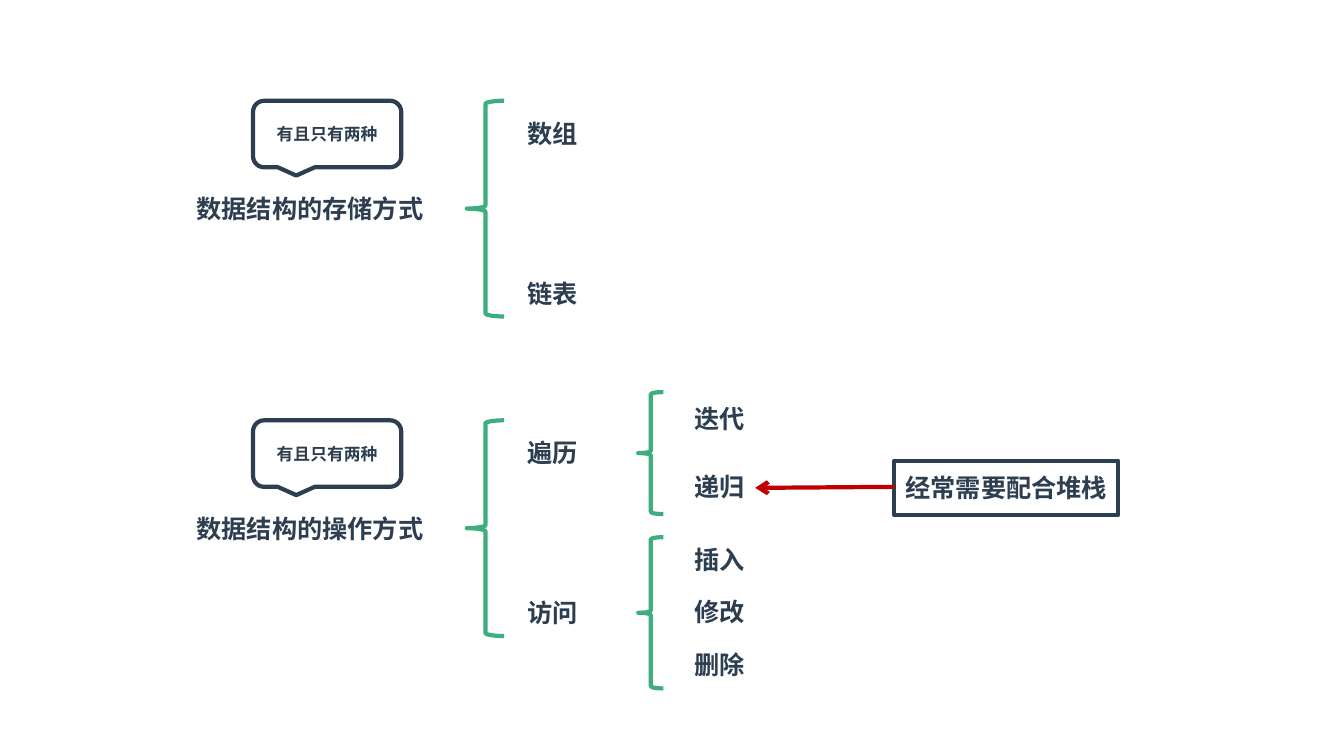
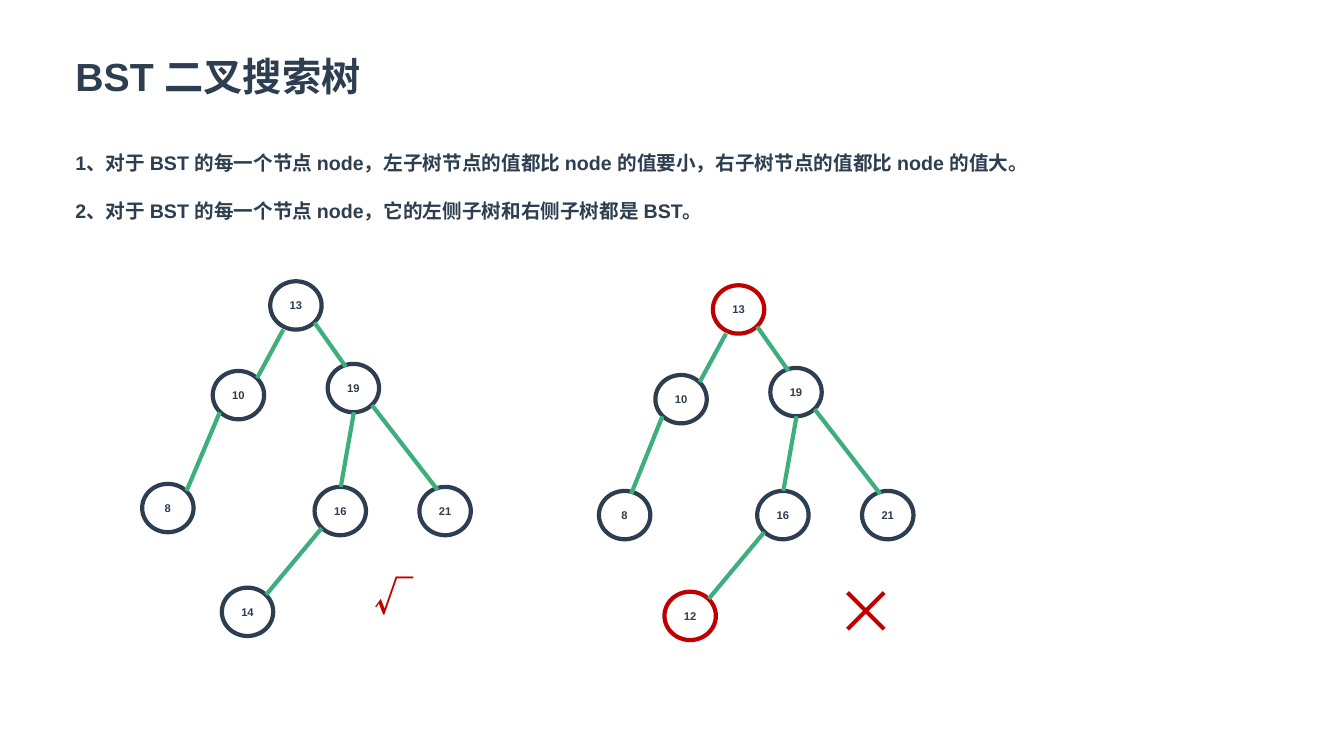
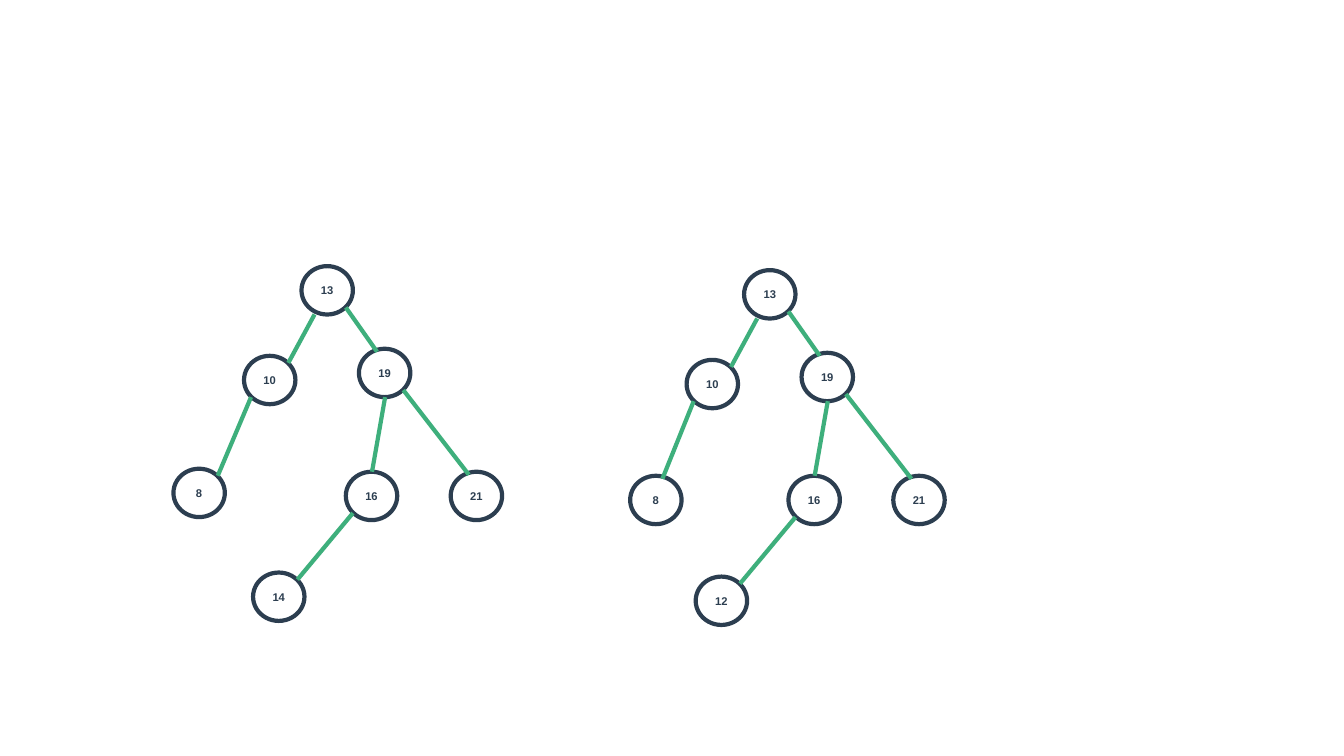
from lxml import etree
from pptx import Presentation
from pptx.dml.color import RGBColor
from pptx.enum.shapes import MSO_CONNECTOR, MSO_SHAPE
from pptx.enum.text import MSO_ANCHOR, MSO_AUTO_SIZE, PP_ALIGN
from pptx.oxml.ns import qn
from pptx.util import Inches, Pt

STRAIGHT = MSO_CONNECTOR.STRAIGHT
BRACE = MSO_SHAPE.LEFT_BRACE
CALLOUT = MSO_SHAPE.ROUNDED_RECTANGULAR_CALLOUT
ELLIPSE = MSO_SHAPE.OVAL
RECTANGLE = MSO_SHAPE.RECTANGLE
MIDDLE = MSO_ANCHOR.MIDDLE
CENTER = PP_ALIGN.CENTER
GROW = MSO_AUTO_SIZE.SHAPE_TO_FIT_TEXT

# Shared style
NAVY = RGBColor(0x2C, 0x3E, 0x50)
GREEN = RGBColor(0x3E, 0xAF, 0x7C)
RED = RGBColor(0xC0, 0x00, 0x00)
LATIN_FONT = "Arial"
CJK_FONT = "Noto Sans CJK SC"
LINE_WIDTH = Pt(3)

# Tree geometry: node corners relative to the root corner
NODE_WIDTH, NODE_HEIGHT = 0.51, 0.48
NODE_OFFSETS = {
    "root": (0, 0),
    "left": (-0.57, 0.89),
    "right": (0.57, 0.82),
    "left leaf": (-1.27, 2.01),
    "bottom leaf": (-0.48, 3.04),
    "middle": (0.44, 2.04),
    "right leaf": (1.48, 2.04),
}
NODE_VALUES = {
    "root": "13", "left": "10", "right": "19", "left leaf": "8",
    "middle": "16", "right leaf": "21",
}

# Points on a node's rim where edges start and end
TOP, BOTTOM = (0.26, 0), (0.26, 0.48)
LOWER_LEFT, LOWER_RIGHT = (0.07, 0.41), (0.44, 0.41)
UPPER_RIGHT = (0.44, 0.07)
UNDERSIDE, CROWN, CROWN_RIGHT = (0.13, 0.48), (0.18, 0.03), (0.32, 0.03)
EDGES = [
    ("root", UNDERSIDE, "left", UPPER_RIGHT),
    ("left", LOWER_LEFT, "left leaf", UPPER_RIGHT),
    ("root", LOWER_RIGHT, "right", CROWN),
    ("right", BOTTOM, "middle", TOP),
    ("right", LOWER_RIGHT, "right leaf", CROWN),
    ("middle", LOWER_LEFT, "bottom leaf", UPPER_RIGHT),
]


def write(frame, lines, size, color=NAVY, font=LATIN_FONT, bold=True,
          align=None, gap=0):
    """Fill a text frame, one paragraph for each line."""
    font_format = {"name": font, "size": Pt(size), "bold": bold}
    for index, line in enumerate(lines):
        paragraph = frame.add_paragraph() if index else frame.paragraphs[0]
        paragraph.alignment = align
        if index and gap:
            paragraph.space_before = Pt(gap)
        run = paragraph.add_run()
        run.text = line
        for attribute, value in font_format.items():
            setattr(run.font, attribute, value)
        run.font.color.rgb = color
        east_asian = etree.SubElement(run.font._element, qn("a:ea"))
        east_asian.set("typeface", CJK_FONT)


def add_label(slide, box, *lines, size=18, wrap=False, **style):
    label = slide.shapes.add_textbox(*map(Inches, box))
    frame_format = {"word_wrap": wrap, "auto_size": GROW}
    for attribute, value in frame_format.items():
        setattr(label.text_frame, attribute, value)
    write(label.text_frame, lines, size, **style)


def add_outline(shapes, kind, box, color=NAVY, text=None, size=18):
    """Draw an unfilled preset shape, with centred text if given."""
    outline = shapes.add_shape(kind, *map(Inches, box))
    outline.shadow.inherit = False
    outline.fill.background()
    outline.line.color.rgb = color
    outline.line.width = LINE_WIDTH
    if text:
        outline.text_frame.vertical_anchor = MIDDLE
        write(outline.text_frame, [text], size, align=CENTER)


def add_line(shapes, start, end, color=GREEN, arrow=False):
    line = shapes.add_connector(STRAIGHT, *map(Inches, (*start, *end)))
    line.line.color.rgb = color
    line.line.width = LINE_WIDTH
    if arrow:
        tail = etree.SubElement(line.line._get_or_add_ln(), qn("a:tailEnd"))
        tail.set("type", "arrow")
    etree.SubElement(line._element.spPr, qn("a:effectLst"))


def add_section(slide, top, heading, branches):
    """Heading with a callout above it and a brace to two branches."""
    add_label(slide, (1.85, top + 0.87, 2.78, 0.4), heading, wrap=True)
    for index, branch in enumerate(branches):
        add_label(slide, (5.13, top + 0.12 + 1.59 * index, 0.7, 0.4), branch)
    add_outline(slide.shapes, BRACE, (4.63, top, 0.37, 2.14), GREEN)
    add_outline(slide.shapes, CALLOUT, (2.51, top, 1.47, 0.66),
                text="有且只有两种", size=12)


def add_details(slide, brace_top, brace_height, items):
    """Brace to the items of a branch, given as text and top."""
    add_outline(slide.shapes, BRACE, (6.33, brace_top, 0.25, brace_height), GREEN)
    for text, top in items:
        add_label(slide, (6.79, top, 0.7, 0.4), text)


def add_tree(shapes, origin, bottom_value, leaf_offset=None,
             leaf_anchor=UPPER_RIGHT, marked=()):
    """Draw the search tree; marked nodes get a red rim."""
    offsets = dict(NODE_OFFSETS)
    if leaf_offset:
        offsets["left leaf"] = leaf_offset
    values = {**NODE_VALUES, "bottom leaf": bottom_value}
    corners = {node: (origin[0] + dx, origin[1] + dy)
               for node, (dx, dy) in offsets.items()}
    for node, corner in corners.items():
        add_outline(shapes, ELLIPSE, (*corner, NODE_WIDTH, NODE_HEIGHT),
                    RED if node in marked else NAVY, values[node], 8)
    for parent, parent_anchor, child, child_anchor in EDGES:
        if child == "left leaf":
            child_anchor = leaf_anchor
        ends = [(corners[node][0] + anchor[0], corners[node][1] + anchor[1])
                for node, anchor in ((parent, parent_anchor), (child, child_anchor))]
        add_line(shapes, *ends)


def add_tree_pair(first_shapes, second_shapes, origin, marked=()):
    """Valid tree on the left, invalid tree on the right."""
    left, top = origin
    add_tree(first_shapes, origin, "14")
    add_tree(second_shapes, (left + 4.39, top + 0.04), "12",
             leaf_offset=(-1.13, 2.04), leaf_anchor=CROWN_RIGHT, marked=marked)


def build_structure_slide(slide):
    add_section(slide, 1, "数据结构的存储方式", ["数组", "链表"])
    add_section(slide, 4.17, "数据结构的操作方式", ["遍历", "访问"])
    add_details(slide, 3.89, 1.21, [("迭代", 3.95), ("递归", 4.63)])
    add_details(slide, 5.33, 1.5,
                [("插入", 5.35), ("修改", 5.87), ("删除", 6.39)])
    # Remark on recursion
    add_outline(slide.shapes, RECTANGLE, (8.87, 4.57, 2.22, 0.54),
                text="经常需要配合堆栈")
    add_line(slide.shapes, (8.87, 4.83), (7.49, 4.84), RED, arrow=True)


def build_bst_slide(slide):
    add_label(slide, (0.65, 0.47, 3.12, 0.57), "BST 二叉搜索树", size=28)
    add_label(
        slide, (0.65, 1.45, 10.07, 0.81),
        "1、对于 BST 的每一个节点 node，左子树节点的值都比 node 的值要小，右子树节点的值都比 node 的值大。",
        "2、对于 BST 的每一个节点 node，它的左侧子树和右侧子树都是 BST。",
        size=14, gap=17)
    add_tree_pair(slide.shapes, slide.shapes, (2.68, 2.79),
                  marked=("root", "bottom leaf"))
    # Verdicts
    add_label(slide, (3.62, 5.63, 0.77, 0.57), "√", size=28, wrap=True,
              color=RED, font=CJK_FONT)
    add_label(slide, (8.19, 5.63, 0.54, 0.84), "×", size=44,
              color=RED, font=CJK_FONT, bold=False)


def build_tree_slide(slide):
    valid_tree = slide.shapes.add_group_shape()
    invalid_tree = slide.shapes.add_group_shape()
    add_tree_pair(valid_tree.shapes, invalid_tree.shapes, (2.99, 2.64))


def main():
    deck = Presentation()
    deck.slide_width, deck.slide_height = Inches(13.33), Inches(7.5)
    blank = deck.slide_layouts[6]
    for build in (build_structure_slide, build_bst_slide, build_tree_slide):
        build(deck.slides.add_slide(blank))
    deck.save("out.pptx")


if __name__ == "__main__":
    main()
